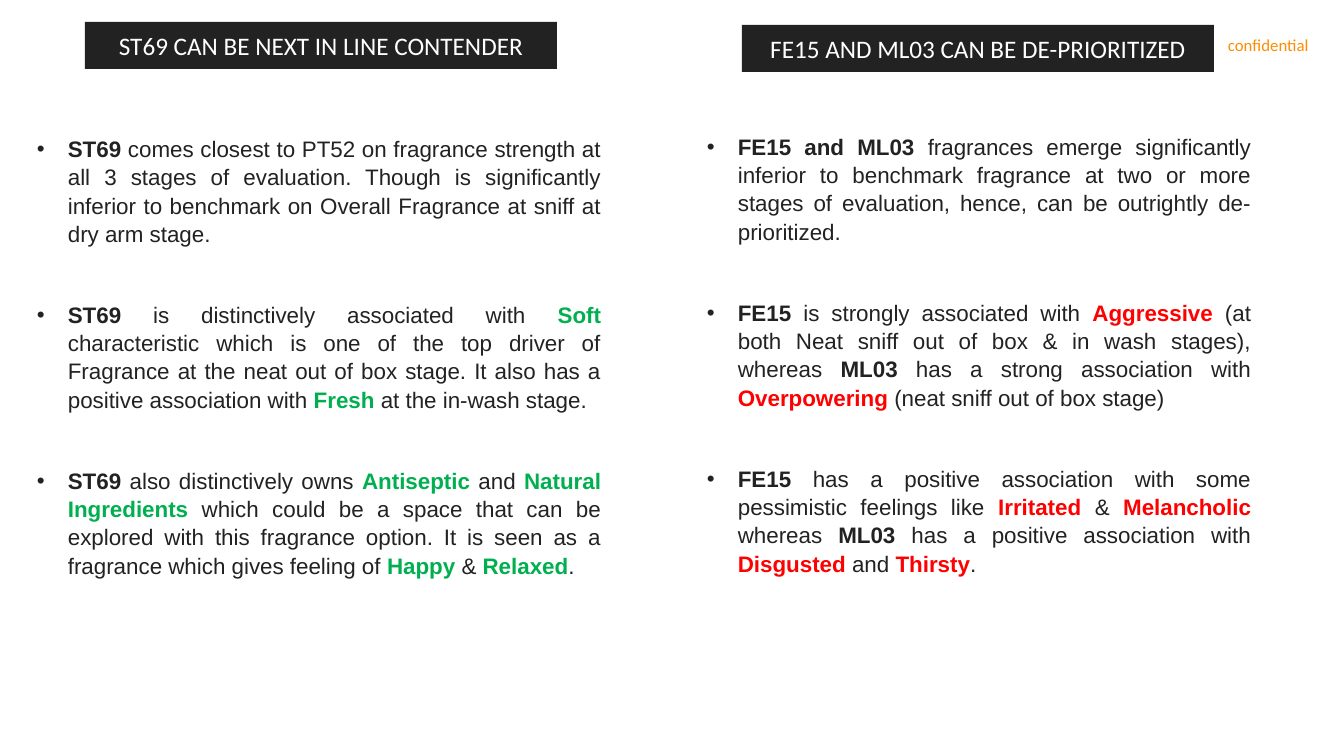
from lxml import etree
from pptx import Presentation
from pptx.dml.color import RGBColor
from pptx.enum.shapes import MSO_SHAPE
from pptx.enum.text import MSO_ANCHOR, PP_ALIGN
from pptx.oxml.ns import qn
from pptx.util import Emu, Pt

RECTANGLE = MSO_SHAPE.RECTANGLE
MIDDLE = MSO_ANCHOR.MIDDLE
CENTER, JUSTIFY = PP_ALIGN.CENTER, PP_ALIGN.JUSTIFY
EMU_PER_PX = 914400 / 100.8
BULLET_INDENT = 31
COLORS = {
    "dark": "222223",
    "white": "FFFFFF",
    "orange": "FF8C00",
    "good": "00B050",
    "bad": "FF0000",
}

CONTENDER_POINTS = [
    [("ST69", "name"),
     (" comes closest to PT52 on fragrance strength at all 3 stages of evaluation. "
      "Though is significantly inferior to benchmark on Overall Fragrance at sniff "
      "at dry arm stage.", "plain")],
    [("ST69", "name"), (" is distinctively associated with ", "plain"), ("Soft ", "good"),
     ("characteristic which is one of the top driver of Fragrance at the neat out of "
      "box stage. It also has a positive association with ", "plain"),
     ("Fresh ", "good"), ("at the in-wash stage.", "plain")],
    [("ST69 ", "name"), ("also distinctively owns ", "plain"), ("Antiseptic ", "good"),
     ("and ", "plain"), ("Natural Ingredients ", "good"),
     ("which could be a space that can be explored with this fragrance option. "
      "It is seen as a fragrance which gives feeling of ", "plain"),
     ("Happy ", "good"), ("& ", "plain"), ("Relaxed", "good"), (".", "plain")],
]
DEPRIORITIZED_POINTS = [
    [("FE15 and ML03 ", "name"),
     ("fragrances emerge significantly inferior to benchmark fragrance at two or more "
      "stages of evaluation, hence, can be outrightly de-prioritized.", "plain")],
    [("FE15", "name"), (" is strongly associated with ", "plain"), ("Aggressive ", "bad"),
     ("(at both Neat sniff out of box & in wash stages), whereas ", "plain"),
     ("ML03", "name"), (" has a strong association with ", "plain"),
     ("Overpowering", "bad"), (" (neat sniff out of box stage)", "plain")],
    [("FE15", "name"),
     (" has a positive association with some pessimistic feelings like ", "plain"),
     ("Irritated ", "bad"), ("& ", "plain"), ("Melancholic ", "bad"),
     ("whereas ", "plain"), ("ML03 ", "name"),
     ("has a positive association with ", "plain"), ("Disgusted ", "bad"),
     ("and ", "plain"), ("Thirsty", "bad"), (".", "plain")],
]


def px(length):
    return Emu(round(length * EMU_PER_PX))


def color(name):
    return RGBColor.from_string(COLORS[name])


def format_font(font, family, size, color_name, bold=False):
    font.name = family
    font.size = Pt(size)
    font.bold = bold
    font.color.rgb = color(color_name)


def add_header(slide, left, top, heading):
    bar = slide.shapes.add_shape(RECTANGLE, px(left), px(top), px(472), px(47))
    bar.shadow.inherit = False
    bar.fill.solid()
    bar.fill.fore_color.rgb = color("dark")
    bar.line.fill.background()
    frame = bar.text_frame
    frame.text = heading
    frame.word_wrap = False
    frame.vertical_anchor = MIDDLE
    paragraph = frame.paragraphs[0]
    paragraph.alignment = CENTER
    format_font(paragraph.runs[0].font, "Calibri", 18, "white")


def add_bullet(paragraph):
    properties = paragraph._p.get_or_add_pPr()
    properties.set("marL", str(px(BULLET_INDENT)))
    properties.set("indent", str(-px(BULLET_INDENT)))
    etree.SubElement(properties, qn("a:buFont")).set("typeface", "Arial")
    etree.SubElement(properties, qn("a:buChar")).set("char", "•")


def add_points(slide, left, top, width, points):
    frame = slide.shapes.add_textbox(px(left), px(top), px(width), px(445)).text_frame
    frame.word_wrap = True
    for index, point in enumerate(points):
        paragraph = frame.paragraphs[0] if index == 0 else frame.add_paragraph()
        paragraph.alignment = JUSTIFY
        paragraph.line_spacing = 1.05
        if index:
            paragraph.space_before = Pt(38)
        add_bullet(paragraph)
        for wording, role in point:
            run = paragraph.add_run()
            run.text = wording
            color_name = role if role in COLORS else "dark"
            format_font(run.font, "Arial", 16, color_name, role != "plain")


def add_confidential_mark(slide):
    frame = slide.shapes.add_textbox(px(1228), px(35), px(85), px(20)).text_frame
    frame.margin_left = frame.margin_right = 0
    frame.margin_top = frame.margin_bottom = 0
    frame.word_wrap = True
    frame.text = "confidential"
    format_font(frame.paragraphs[0].runs[0].font, "Calibri", 12, "orange")


def main():
    """Build the slide that compares the fragrance options."""
    deck = Presentation()
    deck.slide_width, deck.slide_height = px(1344), px(756)
    slide = deck.slides.add_slide(deck.slide_layouts[6])
    add_confidential_mark(slide)
    add_header(slide, 85, 22, "ST69 CAN BE NEXT IN LINE CONTENDER")
    add_points(slide, 27, 129, 584, CONTENDER_POINTS)
    add_header(slide, 742, 25, "FE15 AND ML03 CAN BE DE-PRIORITIZED")
    add_points(slide, 697, 127, 564, DEPRIORITIZED_POINTS)
    deck.save("out.pptx")


if __name__ == "__main__":
    main()
